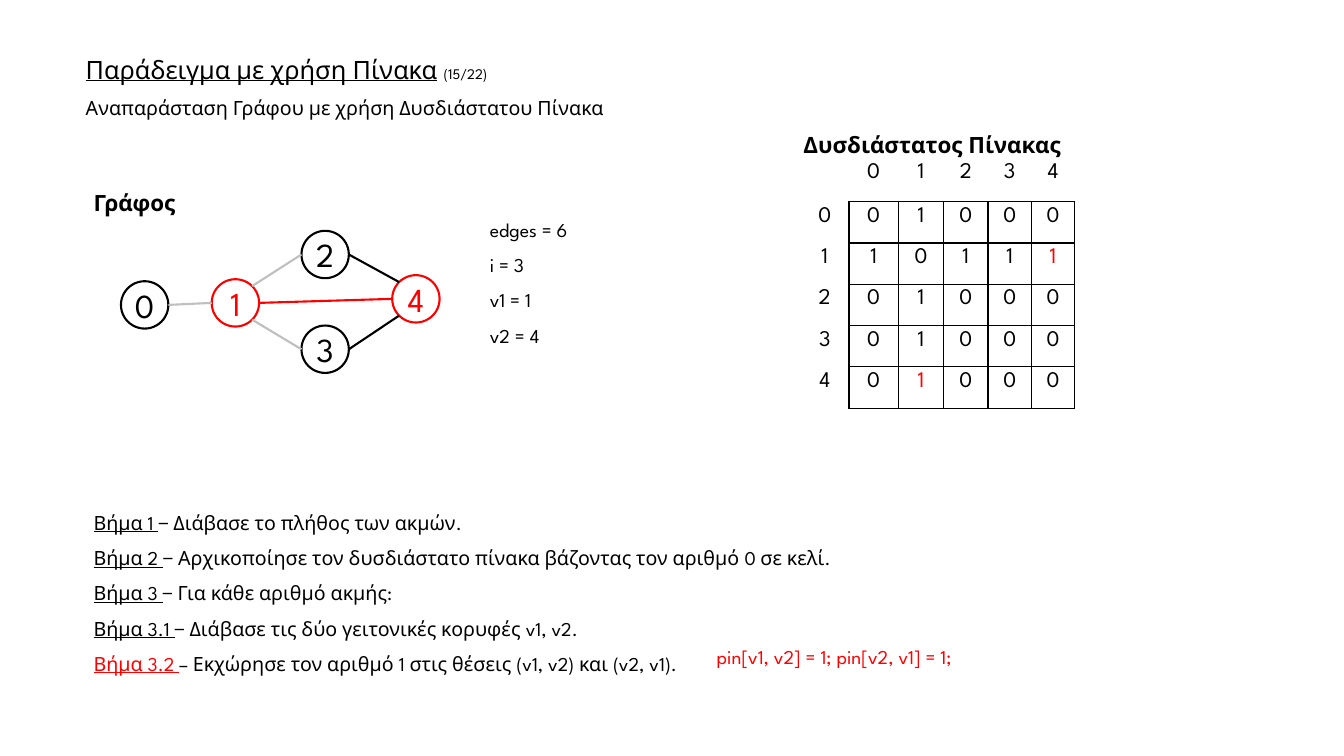
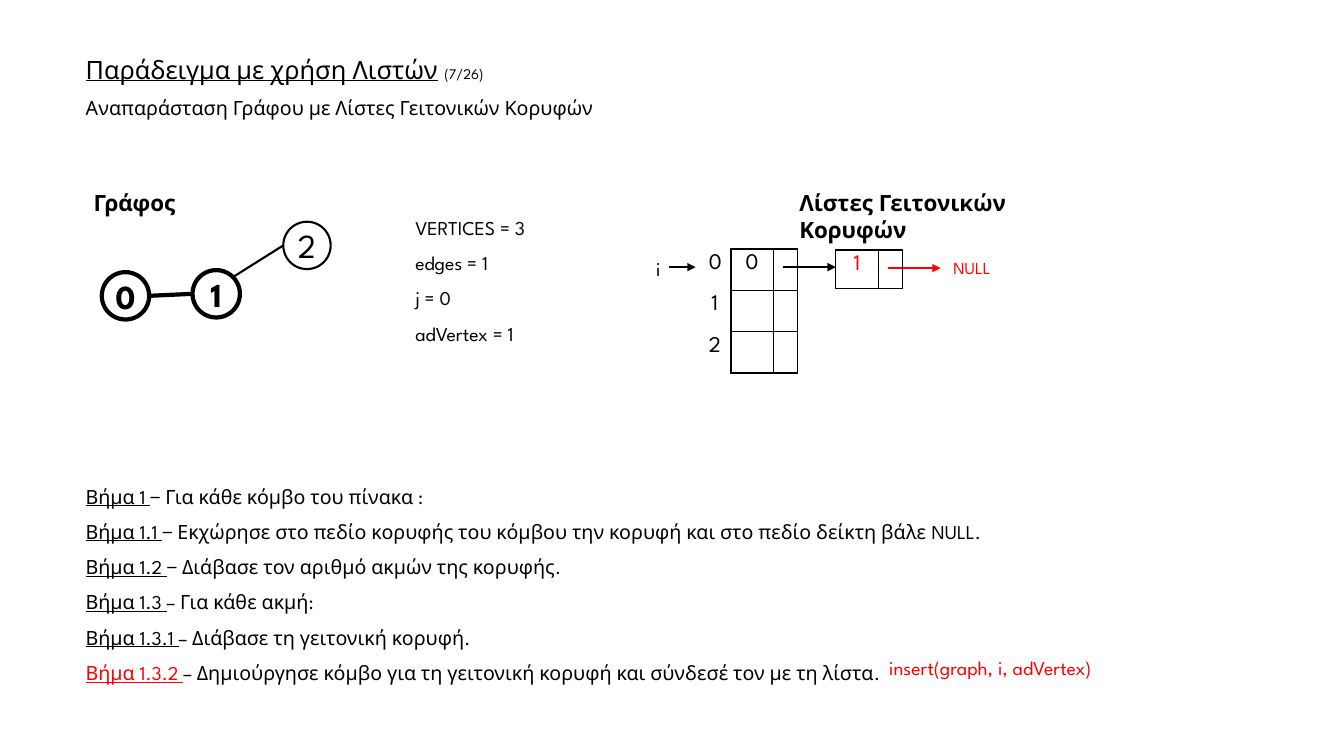
"""Build two slides on storing a graph: as a matrix and as adjacency lists."""
from lxml import etree
from pptx import Presentation
from pptx.dml.color import RGBColor
from pptx.enum.shapes import MSO_CONNECTOR, MSO_SHAPE
from pptx.enum.text import MSO_ANCHOR, MSO_AUTO_SIZE, PP_ALIGN
from pptx.oxml.ns import qn
from pptx.util import Inches, Pt

LEFT, CENTER = PP_ALIGN.LEFT, PP_ALIGN.CENTER
TOP, MIDDLE = MSO_ANCHOR.TOP, MSO_ANCHOR.MIDDLE
NO_AUTOFIT = MSO_AUTO_SIZE.NONE
STRAIGHT, OVAL = MSO_CONNECTOR.STRAIGHT, MSO_SHAPE.OVAL

FONT = "League Spartan"
BLACK, RED, GRAY = "000000", "FF0000", "BFBFBF"
NO_TABLE_STYLE = "{2D5ABB26-0587-4C30-8999-92F81FD0307C}"
NODE_SIZE = 0.47
RADIUS = NODE_SIZE / 2
DIAGONAL = RADIUS * 0.71
SITES = {"left": (-RADIUS, 0), "right": (RADIUS, 0),
         "upper left": (-DIAGONAL, -DIAGONAL), "lower left": (-DIAGONAL, DIAGONAL),
         "upper right": (DIAGONAL, -DIAGONAL), "lower right": (DIAGONAL, DIAGONAL)}


def write(frame, paragraphs, size, colour=BLACK, bold=False, align=LEFT, spacing=None, before=0):
    """Fill a text frame; a paragraph is a string or a list of (text, run options)."""
    frame.word_wrap = True
    for index, content in enumerate(paragraphs):
        paragraph = frame.add_paragraph() if index else frame.paragraphs[0]
        paragraph.alignment = align
        paragraph.line_spacing = spacing
        paragraph.space_before = Pt(before)
        for text, options in [(content, {})] if isinstance(content, str) else content:
            run = paragraph.add_run()
            run.text = text
            run.font.name = FONT
            run.font.size = Pt(options.get("size", size))
            run.font.bold = bold
            run.font.underline = options.get("underline", False)
            run.font.color.rgb = RGBColor.from_string(options.get("colour", colour))


def add_line(slide, start, end, colour, width, arrow=False):
    """Draw a straight line, with an arrowhead at its end on request."""
    connector = slide.shapes.add_connector(
        STRAIGHT, *[Inches(value) for value in (*start, *end)])
    connector.line.color.rgb = RGBColor.from_string(colour)
    connector.line.width = Pt(width)
    properties = connector._element.spPr
    etree.SubElement(properties, qn("a:effectLst"))
    if arrow:
        etree.SubElement(properties.find(qn("a:ln")), qn("a:tailEnd"), type="triangle")


matrix_slide = {
    "title": "Παράδειγμα με χρήση Πίνακα",
    "page": "(15/22)",
    "subtitle": "Αναπαράσταση Γράφου με χρήση Δυσδιάστατου Πίνακα",
    "heading": ("Δυσδιάστατος Πίνακας", 7.87, 1.25),
    "nodes": {"0": (1.2, 2.79, BLACK, 1.5), "1": (2.1, 2.77, RED, 1.5),
              "2": (2.99, 2.29, BLACK, 1.5), "3": (2.99, 3.23, BLACK, 1.5),
              "4": (3.89, 2.73, RED, 1.5)},
    "edges": [("0", "right", "1", "left", GRAY, 1.5),
              ("1", "upper right", "2", "left", GRAY, 1.5),
              ("1", "lower right", "3", "left", GRAY, 1.5),
              ("1", "right", "4", "left", RED, 1.5),
              ("2", "right", "4", "upper left", BLACK, 1.5),
              ("3", "right", "4", "lower left", BLACK, 1.5)],
    "variables": (4.76, 2.14, ["edges = 6", "i = 3", "v1 = 1", "v2 = 4"]),
    "tables": [{
        "at": (7.94, 1.57), "columns": [0.48, 0.49, 0.45, 0.44, 0.43, 0.43],
        "heights": [0.43] + [0.41] * 5, "header_rows": 1, "label_columns": 1,
        "rows": [" 01234", "001000", "110111", "201000", "301000", "401000"],
        "red": [(2, 5), (5, 2)]}],
    "arrows": [],
    "labels": [],
    "steps": (0.83, 4.9, 1.82, [
        ("Βήμα 1 ", "− Διάβασε το πλήθος των ακμών."),
        ("Βήμα 2 ", "− Αρχικοποίησε τον δυσδιάστατο πίνακα βάζοντας τον αριθμό 0 σε κελί."),
        ("Βήμα 3 ", "− Για κάθε αριθμό ακμής:"),
        ("Βήμα 3.1 ", "− Διάβασε τις δύο γειτονικές κορυφές v1, v2."),
        ("Βήμα 3.2 ", "– Εκχώρησε τον αριθμό 1 στις θέσεις (v1, v2) και (v2, v1).")]),
    "code": ("pin[v1, v2] = 1; pin[v2, v1] = 1;", 7.01, 6.37),
}

list_slide = {
    "title": "Παράδειγμα με χρήση Λιστών",
    "page": "(7/26)",
    "subtitle": "Αναπαράσταση Γράφου με Λίστες Γειτονικών Κορυφών",
    "heading": ("Λίστες Γειτονικών Κορυφών", 7.83, 1.83),
    "nodes": {"0": (1.01, 2.7, BLACK, 3), "1": (1.91, 2.68, BLACK, 3),
              "2": (2.81, 2.2, BLACK, 1.5)},
    "edges": [("0", "right", "1", "left", BLACK, 3),
              ("1", "upper right", "2", "left", BLACK, 1.5)],
    "variables": (4.02, 2.12, ["VERTICES = 3", "edges = 1", "j = 0", "adVertex = 1"]),
    "tables": [
        {"at": (6.93, 2.47), "columns": [0.32, 0.42, 0.23], "heights": [0.41] * 3,
         "header_rows": 0, "label_columns": 1, "rows": ["00 ", "1  ", "2  "], "red": []},
        {"at": (8.29, 2.48), "columns": [0.42, 0.23], "heights": [0.37],
         "header_rows": 0, "label_columns": 0, "rows": ["1 "], "red": [(0, 0)]}],
    "arrows": [(6.64, 6.9, 2.65, BLACK), (7.77, 8.29, 2.65, BLACK), (8.81, 9.33, 2.66, RED)],
    "labels": [("i", 6.41, 2.5, 0.25, 0.34, 14, BLACK, LEFT),
               ("NULL", 9.33, 2.51, 0.62, 0.3, 12, RED, CENTER)],
    "steps": (0.75, 4.64, 2.18, [
        ("Βήμα 1 ", "− Για κάθε κόμβο του πίνακα :"),
        ("Βήμα 1.1 ", "− Εκχώρησε στο πεδίο κορυφής του κόμβου την κορυφή "
                      "και στο πεδίο δείκτη βάλε NULL."),
        ("Βήμα 1.2 ", "− Διάβασε τον αριθμό ακμών της κορυφής."),
        ("Βήμα 1.3 ", "– Για κάθε ακμή:"),
        ("Βήμα 1.3.1 ", "– Διάβασε τη γειτονική κορυφή."),
        ("Βήμα 1.3.2 ", "– Δημιούργησε κόμβο για τη γειτονική κορυφή "
                        "και σύνδεσέ τον με τη λίστα.")]),
    "code": ("insert(graph, i, adVertex)", 8.72, 6.48),
}

presentation = Presentation()
presentation.slide_width = Inches(13.33)
presentation.slide_height = Inches(7.5)
title_only = presentation.slide_layouts[5]

for content in (matrix_slide, list_slide):
    slide = presentation.slides.add_slide(title_only)

    title = slide.shapes.title
    title.left, title.top = Inches(0.75), Inches(0.52)
    title.width, title.height = Inches(11.83), Inches(1.05)
    title.text_frame.vertical_anchor = TOP
    title.text_frame.auto_size = NO_AUTOFIT
    title_line = [(content["title"], {"underline": True}), (" ", {}),
                  (content["page"], {"size": 10.5})]
    subtitle_line = [(content["subtitle"], {"size": 14})]
    write(title.text_frame, [title_line, subtitle_line], 18, spacing=0.9, before=10)

    centres = {}
    for name, (left, top, colour, width) in content["nodes"].items():
        centres[name] = (left + RADIUS, top + RADIUS)
        node = slide.shapes.add_shape(
            OVAL, Inches(left), Inches(top), Inches(NODE_SIZE), Inches(NODE_SIZE))
        node.shadow.inherit = False
        node.fill.background()
        node.line.color.rgb = RGBColor.from_string(colour)
        node.line.width = Pt(width)
        frame = node.text_frame
        frame.margin_left = frame.margin_right = frame.margin_top = frame.margin_bottom = 0
        frame.vertical_anchor = MIDDLE
        write(frame, [name], 24, colour, bold=width > 2, align=CENTER)

    for first, first_site, second, second_site, colour, width in content["edges"]:
        start, end = [
            [centre + offset for centre, offset in zip(centres[name], SITES[site])]
            for name, site in ((first, first_site), (second, second_site))]
        add_line(slide, start, end, colour, width)

    for arrow_left, arrow_right, height, colour in content["arrows"]:
        add_line(slide, (arrow_left, height), (arrow_right, height), colour, 1.5, arrow=True)

    for grid in content["tables"]:
        columns, heights = grid["columns"], grid["heights"]
        left, top = grid["at"]
        table = slide.shapes.add_table(
            len(heights), len(columns), Inches(left), Inches(top),
            Inches(sum(columns)), Inches(sum(heights))).table
        table.first_row = table.horz_banding = False
        table._tbl.tblPr.find(qn("a:tableStyleId")).text = NO_TABLE_STYLE
        for column, width in zip(table.columns, columns):
            column.width = Inches(width)
        for row_index, height in enumerate(heights):
            table.rows[row_index].height = Inches(height)
            for column_index, value in enumerate(grid["rows"][row_index]):
                cell = table.cell(row_index, column_index)
                cell.fill.background()
                colour = RED if (row_index, column_index) in grid["red"] else BLACK
                write(cell.text_frame, [value.strip()], 16, colour, align=CENTER)
                is_header = row_index < grid["header_rows"]
                is_label = column_index < grid["label_columns"]
                if is_header and is_label:
                    sides = ""
                elif is_header:
                    sides = "B"
                elif is_label:
                    sides = "R"
                else:
                    sides = "LRTB"
                cell_properties = cell._tc.get_or_add_tcPr()
                for position, side in enumerate(sides):
                    border = etree.Element(qn("a:ln" + side), w=str(Pt(1)))
                    border_fill = etree.SubElement(border, qn("a:solidFill"))
                    etree.SubElement(border_fill, qn("a:srgbClr"), val=BLACK)
                    cell_properties.insert(position, border)

    heading, heading_left, heading_top = content["heading"]
    variables_left, variables_top, variables = content["variables"]
    steps_left, steps_top, steps_height, steps = content["steps"]
    code, code_left, code_top = content["code"]
    step_lines = [
        [(label, {"underline": True, "colour": RED if index == len(steps) else BLACK}),
         (text, {})]
        for index, (label, text) in enumerate(steps, start=1)]
    text_boxes = [
        (0.83, 1.83, 1.08, 0.37, ["Γράφος"], 16, {"bold": True}),
        (heading_left, heading_top, 3.25, 0.37, [heading], 16, {"bold": True}),
        (variables_left, variables_top, 2.22, 1.53, variables, 14,
         {"spacing": 0.9, "before": 10}),
        (steps_left, steps_top, 12.35, steps_height, step_lines, 14, {"spacing": 1.5}),
        (code_left, code_top, 3.95, 0.39, [code], 14,
         {"colour": RED, "spacing": 0.9, "before": 10}),
    ]
    for label, left, top, width, height, size, colour, align in content["labels"]:
        text_boxes.append((left, top, width, height, [label], size,
                           {"colour": colour, "align": align}))
    for left, top, width, height, paragraphs, size, options in text_boxes:
        text_box = slide.shapes.add_textbox(
            Inches(left), Inches(top), Inches(width), Inches(height))
        write(text_box.text_frame, paragraphs, size, **options)

presentation.save("out.pptx")
